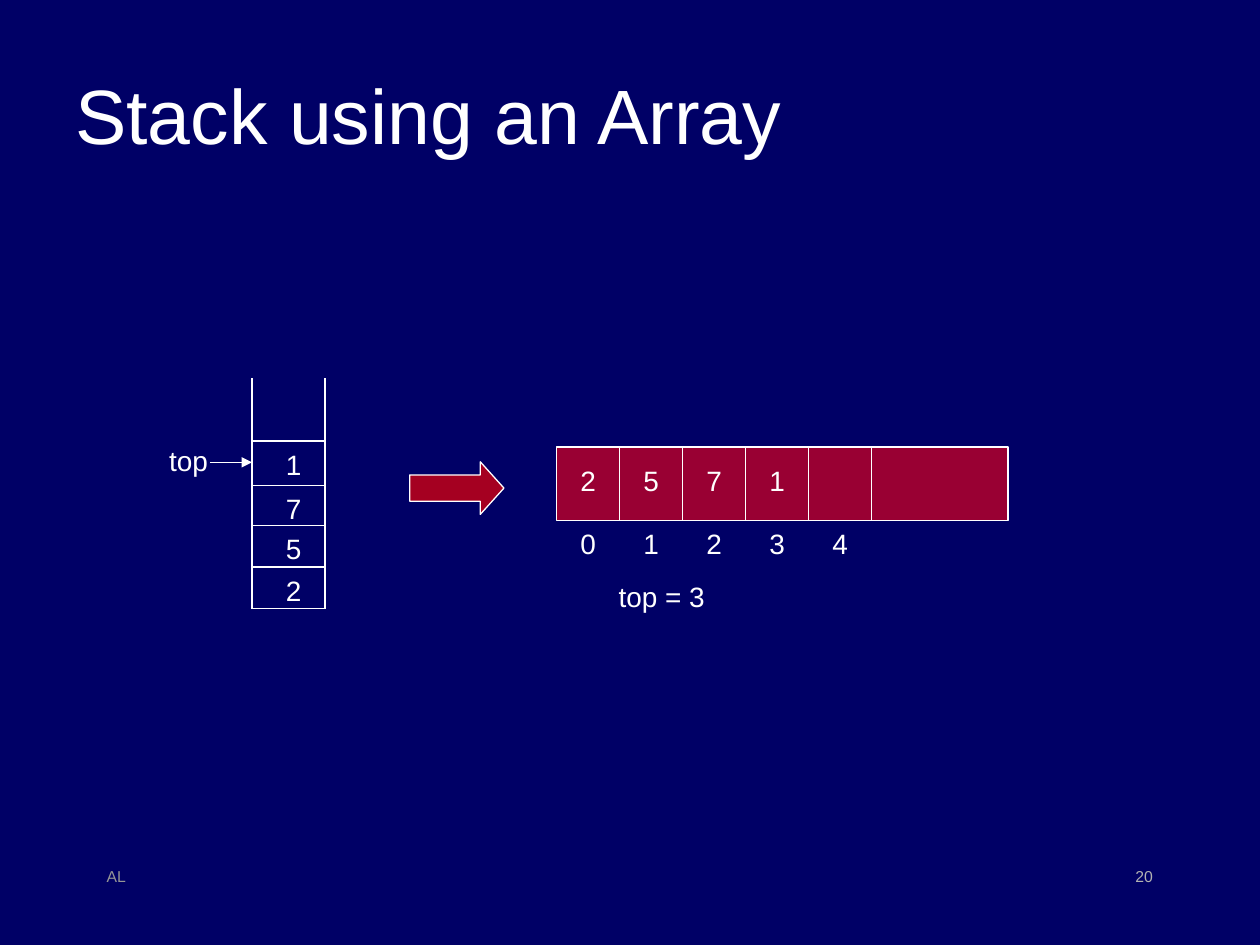
from lxml import etree
from pptx import Presentation
from pptx import util as u
from pptx.dml.color import RGBColor
from pptx.enum import shapes, text
from pptx.oxml.ns import qn

Cm = u.Cm

# Content
TITLE = "Stack using an Array"
VALUES = ["2", "5", "7", "1"]  # bottom of the stack first
INDEXES = ["0", "1", "2", "3", "4"]
POINTER = "top"
TOP_VALUE = "top = 3"
AUTHOR, PAGE_NUMBER = "AL", "20"

THEME = {
    "font": "Arial",
    "title": 44, "label": 16, "footer": 9, "line": 0.75,
    "background": "000066", "ink": "FFFFFF",
    "arrow": "A50021", "array": "990033",
    "author": "969696", "number": "B2B2B2",
}

# Geometry in centimetres
STACK_LEFT, STACK_RIGHT, STACK_TOP = 5.08, 6.55, 7.62
STACK_LEVELS = [12.27, 11.43, 10.59, 9.78, 8.89]  # floor first
STACK_TEXT_X = 5.92
POINTER_Y = 9.32
ARRAY_LEFT, ARRAY_TOP, ARRAY_WIDTH, ARRAY_HEIGHT = 11.22, 9.01, 9.1, 1.48
CELL = 1.27
LABEL_HEIGHT = 0.94


def color(name):
    return RGBColor.from_string(THEME[name])


def add_text(page, words, left, top, width, height, size="label", ink="ink",
             align=text.PP_ALIGN.LEFT, anchor=text.MSO_ANCHOR.TOP, wrap=True):
    box = page.shapes.add_textbox(Cm(left), Cm(top), Cm(width), Cm(height))
    frame = box.text_frame
    frame.text = words
    frame.word_wrap = wrap
    frame.vertical_anchor = anchor
    para = frame.paragraphs[0]
    para.alignment = align
    for span in para.runs:
        span.font.name = THEME["font"]
        span.font.size = u.Pt(THEME[size])
        span.font.color.rgb = color(ink)
    return box


def add_label(page, words, center, top, width=0.82):
    box = add_text(page, words, center - width / 2, top, width, LABEL_HEIGHT,
                   align=text.PP_ALIGN.CENTER, wrap=False)
    box.text_frame.auto_size = text.MSO_AUTO_SIZE.SHAPE_TO_FIT_TEXT


def add_line(page, x1, y1, x2, y2, arrowhead=False):
    line = page.shapes.add_connector(shapes.MSO_CONNECTOR.STRAIGHT,
                                     Cm(x1), Cm(y1), Cm(x2), Cm(y2))
    line.line.color.rgb = color("ink")
    line.line.width = u.Pt(THEME["line"])
    if arrowhead:
        etree.SubElement(line.line._get_or_add_ln(), qn("a:tailEnd"), type="triangle")
    etree.SubElement(line._element.spPr, qn("a:effectLst"))


def add_block(page, kind, left, top, width, height, fill):
    block = page.shapes.add_shape(kind, Cm(left), Cm(top), Cm(width), Cm(height))
    block.shadow.inherit = False
    block.fill.solid()
    block.fill.fore_color.rgb = color(fill)
    block.line.color.rgb = color("ink")
    block.line.width = u.Pt(THEME["line"])
    return block


def draw_stack(page):
    # Walls, floor and the lines between the items
    for x in (STACK_LEFT, STACK_RIGHT):
        add_line(page, x, STACK_TOP, x, STACK_LEVELS[0])
    for y in STACK_LEVELS:
        add_line(page, STACK_LEFT, y, STACK_RIGHT, y)
    for value, y in zip(VALUES, STACK_LEVELS[1:]):
        add_label(page, value, STACK_TEXT_X, y)
    # Pointer to the top item
    add_label(page, POINTER, 3.8, 8.81, 1.3)
    add_line(page, 4.24, POINTER_Y, STACK_LEFT, POINTER_Y, arrowhead=True)


def draw_array(page):
    add_block(page, shapes.MSO_SHAPE.RECTANGLE, ARRAY_LEFT, ARRAY_TOP,
              ARRAY_WIDTH, ARRAY_HEIGHT, "array")
    bottom = ARRAY_TOP + ARRAY_HEIGHT
    # Cell dividers with the index under each cell
    for i, index in enumerate(INDEXES):
        edge = ARRAY_LEFT + (i + 1) * CELL
        add_line(page, edge, ARRAY_TOP, edge, bottom)
        add_label(page, index, edge - CELL / 2, bottom)
    for i, value in enumerate(VALUES):
        add_label(page, value, ARRAY_LEFT + (i + 0.5) * CELL, 9.22)
    add_label(page, TOP_VALUE, 13.34, 11.56, 2.24)


def main():
    deck = Presentation()
    deck.slide_width, deck.slide_height = Cm(25.4), Cm(19.05)
    page = deck.slides.add_slide(deck.slide_layouts[6])
    page.background.fill.solid()
    page.background.fill.fore_color.rgb = color("background")

    add_text(page, TITLE, 1.27, 1.02, 22.86, 2.54, "title",
             anchor=text.MSO_ANCHOR.MIDDLE)
    draw_stack(page)

    # Arrow from the stack to its array
    arrow = add_block(page, shapes.MSO_SHAPE.RIGHT_ARROW, 8.26, 9.31, 1.9, 1.06, "arrow")
    arrow.adjustments[0], arrow.adjustments[1] = 0.5, 0.45
    draw_array(page)

    # Footer
    add_text(page, AUTHOR, 1.9, 17.35, 5.28, 1.27, "footer", "author")
    add_text(page, PAGE_NUMBER, 18.21, 17.35, 5.28, 1.27, "footer", "number",
             align=text.PP_ALIGN.RIGHT)

    deck.save("out.pptx")


if __name__ == "__main__":
    main()
